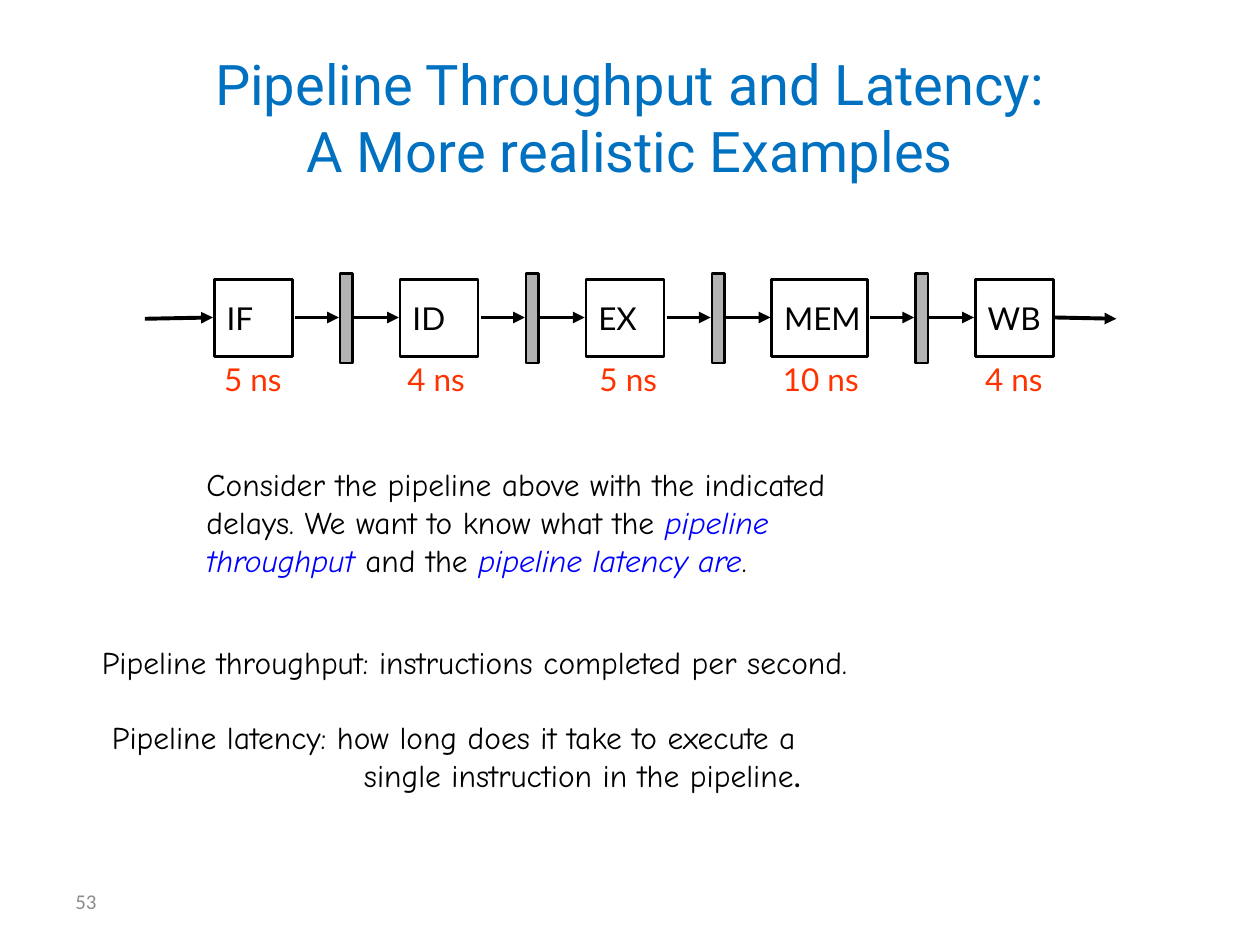
"""Build the slide on pipeline throughput and latency."""
from dataclasses import dataclass

from lxml.etree import SubElement
from pptx import Presentation
from pptx.dml.color import RGBColor
from pptx.enum.shapes import MSO_CONNECTOR as Connector, MSO_SHAPE as Preset
from pptx.enum.text import MSO_ANCHOR as Anchor, PP_ALIGN as Align
from pptx.oxml.ns import qn
from pptx.util import Inches, Pt


@dataclass(frozen=True)
class Theme:
    black: str = "000000"
    white: str = "FFFFFF"
    gray: str = "B2B2B2"
    number: str = "8C8C8C"
    title: str = "0070C0"
    delay: str = "FF3300"
    term: str = "0000FF"
    title_size: int = 32
    body_size: int = 18
    number_size: int = 12
    outline: float = 1.5
    arrow: float = 2.25


@dataclass(frozen=True)
class Span:
    text: str
    font: str = "Comic Neue"
    color: str = Theme.black
    size: int = Theme.body_size
    italic: bool = False


@dataclass(frozen=True)
class Line:
    spans: tuple[Span, ...]
    align: Align = Align.LEFT
    indent: float = 0
    spacing: float | None = None


@dataclass(frozen=True)
class TextBlock:
    left: float
    top: float
    width: float
    height: float
    lines: tuple[Line, ...]


@dataclass(frozen=True)
class Stage:
    name: str
    delay: str
    label_shift: float
    width: float = 0.62


THEME = Theme()
STAGES = (
    Stage("IF", "5 ns", -0.02),
    Stage("ID", "4 ns", -0.04),
    Stage("EX", "5 ns", 0.01),
    Stage("MEM", "10 ns", -0.01, 0.76),
    Stage("WB", "4 ns", -0.02),
)
FIRST_LEFT, LAST_RIGHT, AXIS = 1.7, 8.36, 2.52
STAGE_GAP = (LAST_RIGHT - FIRST_LEFT - sum(s.width for s in STAGES)) / (len(STAGES) - 1)
REGISTER_OFFSET, REGISTER_WIDTH = 0.38, 0.1
BODY_SPACING = 21.6


def term(text: str) -> Span:
    """Return a highlighted italic span."""
    return Span(text, color=THEME.term, italic=True)


BLOCKS = (
    TextBlock(0.5, 6.95, 2.33, 0.4, (
        Line((Span("53", "Calibri", THEME.number, THEME.number_size),)),)),
    TextBlock(0.5, 0.3, 9, 1.25, tuple(
        Line((Span(text, "Roboto", THEME.title, THEME.title_size),), Align.CENTER)
        for text in ("Pipeline Throughput and Latency:", "A More realistic Examples"))),
    TextBlock(1.54, 3.49, 7.37, 1.3, (
        Line((Span("Consider the pipeline above with the indicated"),), spacing=BODY_SPACING),
        Line((Span("delays. We want to know what the "), term("pipeline")), spacing=BODY_SPACING),
        Line((term("throughput"), Span(" and the "), term("pipeline latency are"), Span(".")),
             spacing=BODY_SPACING))),
    TextBlock(0.71, 5, 8.82, 0.5, (
        Line((Span("Pipeline throughput: instructions completed per second."),)),)),
    TextBlock(0.79, 5.55, 8.1, 0.9, (
        Line((Span("Pipeline latency: how long does it take to execute a"),), spacing=BODY_SPACING),
        Line((Span("single instruction in the pipeline"), Span(".", "Lato")),
             indent=2, spacing=BODY_SPACING))),
)


def apply(target, values: dict) -> None:
    """Set every named attribute on the target."""
    for name, value in values.items():
        setattr(target, name, value)


def write(shape, lines: tuple[Line, ...], right_margin: float = 0.1) -> None:
    """Fill a shape with formatted lines."""
    frame = shape.text_frame
    apply(frame, {"word_wrap": True, "vertical_anchor": Anchor.MIDDLE,
                  "margin_right": Inches(right_margin)})
    for index, line in enumerate(lines):
        para = frame.add_paragraph() if index else frame.paragraphs[0]
        para.alignment = line.align
        if line.spacing:
            para.line_spacing = Pt(line.spacing)
        if line.indent:
            para._p.get_or_add_pPr().set("marL", str(Inches(line.indent)))
        for span in line.spans:
            run = para.add_run()
            run.text = span.text
            apply(run.font, {"name": span.font, "size": Pt(span.size), "italic": span.italic})
            run.font.color.rgb = RGBColor.from_string(span.color)


def add_text(page, block: TextBlock, right_margin: float = 0.1) -> None:
    """Add a text box."""
    box = page.shapes.add_textbox(*map(Inches, (block.left, block.top, block.width, block.height)))
    write(box, block.lines, right_margin)


def add_box(page, left: float, top: float, width: float, height: float, fill: str):
    """Add an outlined rectangle."""
    box = page.shapes.add_shape(Preset.RECTANGLE, *map(Inches, (left, top, width, height)))
    box.shadow.inherit = False
    box.fill.solid()
    box.fill.fore_color.rgb = RGBColor.from_string(fill)
    box.line.color.rgb = RGBColor.from_string(THEME.black)
    box.line.width = Pt(THEME.outline)
    return box


def add_arrow(page, start: float, end: float, start_y: float = AXIS, end_y: float = AXIS) -> None:
    """Add an arrow pointing at its end."""
    arrow = page.shapes.add_connector(
        Connector.STRAIGHT, *map(Inches, (start, start_y, end, end_y)))
    arrow.line.color.rgb = RGBColor.from_string(THEME.black)
    arrow.line.width = Pt(THEME.arrow)
    SubElement(arrow.line._get_or_add_ln(), qn("a:tailEnd"), type="triangle")
    SubElement(arrow._element.spPr, qn("a:effectLst"))


def add_pipeline(page) -> None:
    """Draw the stages, registers, delays and arrows."""
    left = FIRST_LEFT
    add_arrow(page, 1.15, left - 0.01, start_y=AXIS + 0.01)
    for stage in STAGES:
        right = left + stage.width
        box = add_box(page, left, 2.22, stage.width, 0.61, THEME.white)
        write(box, (Line((Span(stage.name, "Lato"),)),), right_margin=0)
        delay = Line((Span(stage.delay, "Lato", THEME.delay),))
        add_text(page, TextBlock(left + stage.label_shift, 2.81, stage.width + 0.05, 0.4,
                                 (delay,)), right_margin=0)
        if stage is not STAGES[-1]:
            register = right + REGISTER_OFFSET
            add_box(page, register, 2.17, REGISTER_WIDTH, 0.71, THEME.gray)
            add_arrow(page, right + 0.02, register - 0.01)
            left = right + STAGE_GAP
            add_arrow(page, register + REGISTER_WIDTH + 0.01, left - 0.01)
    add_arrow(page, LAST_RIGHT + 0.01, 8.86, end_y=AXIS + 0.01)


def main() -> None:
    """Create and save the deck."""
    deck = Presentation()
    apply(deck, {"slide_width": Inches(10), "slide_height": Inches(7.5)})
    page = deck.slides.add_slide(deck.slide_layouts[6])
    for block in BLOCKS:
        add_text(page, block)
    add_pipeline(page)
    deck.save("out.pptx")


main()
